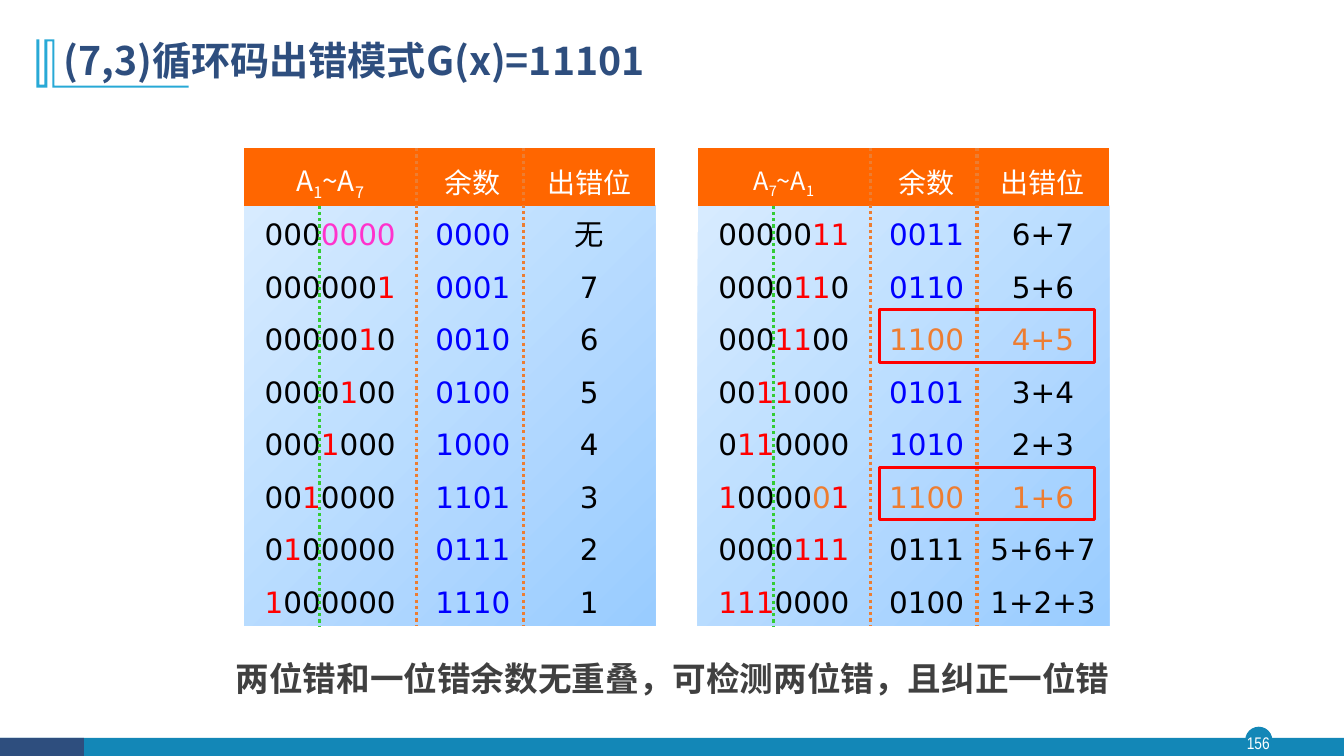
import itertools

import pptx
import pptx.dml.color
import pptx.enum.dml
import pptx.enum.shapes
import pptx.enum.text
import pptx.oxml
import pptx.oxml.ns
import pptx.util
from dataclasses import dataclass

# Content
TITLE = "(7,3)循环码出错模式G(x)=11101"
CONCLUSION = "两位错和一位错余数无重叠，可检测两位错，且纠正一位错"
PAGE_NUMBER = "156"
HEADINGS = ("余数", "出错位")
# Each row: received word, remainder, wrong bits, kind of row
SINGLE_ERRORS = [
    ("0000000", "0000", "无", "plain"),
    ("0000001", "0001", "7", "plain"),
    ("0000010", "0010", "6", "plain"),
    ("0000100", "0100", "5", "plain"),
    ("0001000", "1000", "4", "plain"),
    ("0010000", "1101", "3", "plain"),
    ("0100000", "0111", "2", "plain"),
    ("1000000", "1110", "1", "plain"),
]
MULTIPLE_ERRORS = [
    ("0000011", "0011", "6+7", "plain"),
    ("0000110", "0110", "5+6", "plain"),
    ("0001100", "1100", "4+5", "clash"),
    ("0011000", "0101", "3+4", "plain"),
    ("0110000", "1010", "2+3", "plain"),
    ("1000001", "1100", "1+6", "clash"),
    ("0000111", "0111", "5+6+7", "triple"),
    ("1110000", "0100", "1+2+3", "triple"),
]


@dataclass(frozen=True)
class Theme:
    navy: str = "2E4E7E"
    teal: str = "1387B7"
    sky: str = "28A9D6"
    white: str = "FFFFFF"
    black: str = "000000"
    grey: str = "404040"
    blue: str = "0000FF"
    red: str = "FF0000"
    pink: str = "FF33CC"
    amber: str = "ED7D31"
    header: str = "FF6600"
    green: str = "33CC33"
    pale: str = "D7EBFF"
    deep: str = "99CCFF"
    title_size: int = 28
    conclusion_size: int = 24
    digit_size: int = 21
    heading_size: int = 20
    number_size: int = 12
    cjk_font: str = "Noto Sans CJK SC"
    digit_font: str = "DejaVu Sans"
    number_font: str = "Arial Narrow"


THEME = Theme()
ROW_COLOURS = {  # remainder, wrong bits
    "plain": (THEME.blue, THEME.black),
    "clash": (THEME.amber, THEME.amber),
    "triple": (THEME.black, THEME.black),
}
SPECIAL_DIGITS = {  # word: digit positions and their colour
    "0000000": (range(3, 7), THEME.pink),
    "1000001": (range(5, 6), THEME.amber),
}
# Left edge, rows, letters of the first heading, its size
TABLES = [
    (2.42, SINGLE_ERRORS, ("1", "7"), THEME.heading_size),
    (6.92, MULTIPLE_ERRORS, ("7", "1"), 18),
]

# Grid
WIDTH, HEIGHT = 13.33, 7.5
COLUMNS = (1.71, 1.06, 1.31)
TABLE_WIDTH = sum(COLUMNS)
HEAD_TOP, HEAD_HEIGHT, BODY_HEIGHT = 1.47, 0.57, 4.17
BODY_TOP = HEAD_TOP + HEAD_HEIGHT
BOTTOM = BODY_TOP + BODY_HEIGHT
ROW_HEIGHT = BODY_HEIGHT / len(SINGLE_ERRORS)
CHECK_LINE = 0.75  # offset of the green line from a table's left edge
FRAME_OFFSET, FRAME_WIDTH = 1.8, 2.14
BAR_TOP, BAR_HEIGHT = 7.32, 0.18
NO_TABLE_STYLE = "{2D5ABB26-0587-4C30-8999-92F81FD0307C}"
TITLE_MARK = [(54, 39), (54, 85), (187, 85), (187, 87), (52, 87), (52, 41),
              (47, 41), (47, 87), (36, 87), (36, 39), (39, 39), (39, 84),
              (44, 84), (44, 39)]

inch = pptx.util.Inches
rgb = pptx.dml.color.RGBColor.from_string
SHAPES = pptx.enum.shapes.MSO_SHAPE
CENTRE = pptx.enum.text.PP_ALIGN.CENTER
LEFT = pptx.enum.text.PP_ALIGN.LEFT
MIDDLE = pptx.enum.text.MSO_ANCHOR.MIDDLE

deck = pptx.Presentation()
deck.slide_width, deck.slide_height = inch(WIDTH), inch(HEIGHT)
page = deck.slides.add_slide(deck.slide_layouts[5])


def write(para, spans, size, face, align=CENTRE, bold=False):
    """Fill a paragraph with (text, colour, is_subscript) spans."""
    para.alignment = align
    font = para.font
    font.size, font.bold, font.name = pptx.util.Pt(size), bold, face
    font.color.rgb = rgb(spans[0][1])
    east_asian = pptx.oxml.parse_xml(
        f'<a:ea {pptx.oxml.ns.nsdecls("a")} typeface="{face}"/>')
    font._element.find(pptx.oxml.ns.qn("a:latin")).addnext(east_asian)
    for text, colour, is_subscript in spans:
        span = para.add_run()
        span.text = text
        if colour != spans[0][1]:
            span.font.color.rgb = rgb(colour)
        if is_subscript:
            span._r.get_or_add_rPr().set("baseline", "-25000")


def add_block(preset, left, top, width, height, fill=None, outline=None):
    block = page.shapes.add_shape(preset, *map(inch, (left, top, width, height)))
    style_block(block, fill, outline)
    return block


def style_block(block, fill, outline=None):
    block.shadow.inherit = False
    if fill:
        block.fill.solid()
        block.fill.fore_color.rgb = rgb(fill)
    else:
        block.fill.background()
    if outline:
        block.line.color.rgb, block.line.width = rgb(outline), pptx.util.Pt(2.25)
    else:
        block.line.fill.background()


def add_dotted_line(across, top, bottom, colour):
    line = page.shapes.add_connector(
        pptx.enum.shapes.MSO_CONNECTOR.STRAIGHT,
        inch(across), inch(top), inch(across), inch(bottom))
    line.line.color.rgb, line.line.width = rgb(colour), pptx.util.Pt(2.25)
    line.line.dash_style = pptx.enum.dml.MSO_LINE.ROUND_DOT
    line._element.spPr.append(
        pptx.oxml.parse_xml(f'<a:effectLst {pptx.oxml.ns.nsdecls("a")}/>'))


def word_spans(word):
    """Ones are red, zeros black, apart from the special digits."""
    positions, special = SPECIAL_DIGITS.get(word, ((), None))
    digits = [(special if place in positions else
               THEME.red if digit == "1" else THEME.black, digit)
              for place, digit in enumerate(word)]
    return [("".join(digit for _, digit in group), colour, False)
            for colour, group in itertools.groupby(digits, lambda pair: pair[0])]


def fill_cell(cell, spans, size, face, fill=None, shift=0.07, left=0.05):
    if fill:
        cell.fill.solid()
        cell.fill.fore_color.rgb = rgb(fill)
    else:
        cell.fill.background()
    cell.vertical_anchor = MIDDLE
    cell.margin_left, cell.margin_right = inch(left), inch(0.05)
    cell.margin_top, cell.margin_bottom = inch(shift), 0
    write(cell.text_frame.paragraphs[0], spans, size, face)


def add_error_table(left, rows, ends, first_size):
    panel = add_block(SHAPES.RECTANGLE, left, BODY_TOP, TABLE_WIDTH, BODY_HEIGHT)
    panel.fill.gradient()
    panel.fill.gradient_angle = 315
    for stop, colour in zip(panel.fill.gradient_stops, (THEME.pale, THEME.deep)):
        stop.color.rgb = rgb(colour)

    table = page.shapes.add_table(
        len(rows) + 1, len(COLUMNS), inch(left), inch(HEAD_TOP),
        inch(TABLE_WIDTH), inch(HEAD_HEIGHT + BODY_HEIGHT)).table
    table._tbl.tblPr.find(pptx.oxml.ns.qn("a:tableStyleId")).text = NO_TABLE_STYLE
    table.horz_banding = False
    for column, width in zip(table.columns, COLUMNS):
        column.width = inch(width)
    for index, row in enumerate(table.rows):
        row.height = inch(ROW_HEIGHT if index else HEAD_HEIGHT)

    first, last = ends
    range_heading = [("A", THEME.white, False), (first, THEME.white, True),
                     ("~A", THEME.white, False), (last, THEME.white, True)]
    headings = [range_heading] + [[(text, THEME.white, False)] for text in HEADINGS]
    for column, spans in enumerate(headings):
        size = THEME.heading_size if column else first_size
        fill_cell(table.cell(0, column), spans, size, THEME.cjk_font,
                  THEME.header, shift=0.08, left=0.11 if column == 1 else 0.05)
    for index, (word, remainder, bits, kind) in enumerate(rows, 1):
        remainder_colour, bits_colour = ROW_COLOURS[kind]
        cells = (word_spans(word), [(remainder, remainder_colour, False)],
                 [(bits, bits_colour, False)])
        for column, spans in enumerate(cells):
            fill_cell(table.cell(index, column), spans, THEME.digit_size,
                      THEME.digit_font, left=0.11 if column == 1 else 0.05)

    # Column rules, check line and frames round the clashing rows
    for edge in itertools.accumulate(COLUMNS[:-1]):
        add_dotted_line(left + edge, HEAD_TOP, BOTTOM, THEME.amber)
    add_dotted_line(left + CHECK_LINE, BODY_TOP, BOTTOM, THEME.green)
    for index, row in enumerate(rows):
        if row[3] == "clash":
            add_block(SHAPES.RECTANGLE, left + FRAME_OFFSET,
                      BODY_TOP + index * ROW_HEIGHT - 0.01,
                      FRAME_WIDTH, ROW_HEIGHT, outline=THEME.red)


# Footer bar and page number
add_block(SHAPES.OVAL, 12.35, 7.21, 0.27, 0.27, THEME.teal)
add_block(SHAPES.RECTANGLE, 0, BAR_TOP, WIDTH, BAR_HEIGHT, THEME.teal)
add_block(SHAPES.RECTANGLE, 0, BAR_TOP, WIDTH / 16, BAR_HEIGHT, THEME.navy)
number = page.shapes.add_textbox(*map(inch, (12.32, 7.21, 0.32, 0.31))).text_frame
number.margin_left = number.margin_right = number.margin_top = number.margin_bottom = 0
number.vertical_anchor = MIDDLE
number.word_wrap = True
write(number.paragraphs[0], [(PAGE_NUMBER, THEME.white, False)],
      THEME.number_size, THEME.number_font)

# Title and its mark
outline = page.shapes.build_freeform(*TITLE_MARK[0], scale=inch(0.01))
outline.add_line_segments(TITLE_MARK[1:], close=True)
style_block(outline.convert_to_shape(), THEME.sky)
title = page.shapes.title
title.left, title.top, title.width, title.height = map(inch, (0.53, 0.28, 11.5, 0.68))
title.text_frame.vertical_anchor = MIDDLE
title.text_frame.paragraphs[0].line_spacing = 0.9
write(title.text_frame.paragraphs[0], [(TITLE, THEME.navy, False)],
      THEME.title_size, THEME.cjk_font, LEFT, True)

# Tables and conclusion
for table_content in TABLES:
    add_error_table(*table_content)
conclusion = page.shapes.add_textbox(*map(inch, (2.24, 6.48, 9.8, 0.5))).text_frame
conclusion.word_wrap = True
write(conclusion.paragraphs[0], [(CONCLUSION, THEME.grey, False)],
      THEME.conclusion_size, THEME.cjk_font, LEFT, True)

deck.save("out.pptx")
